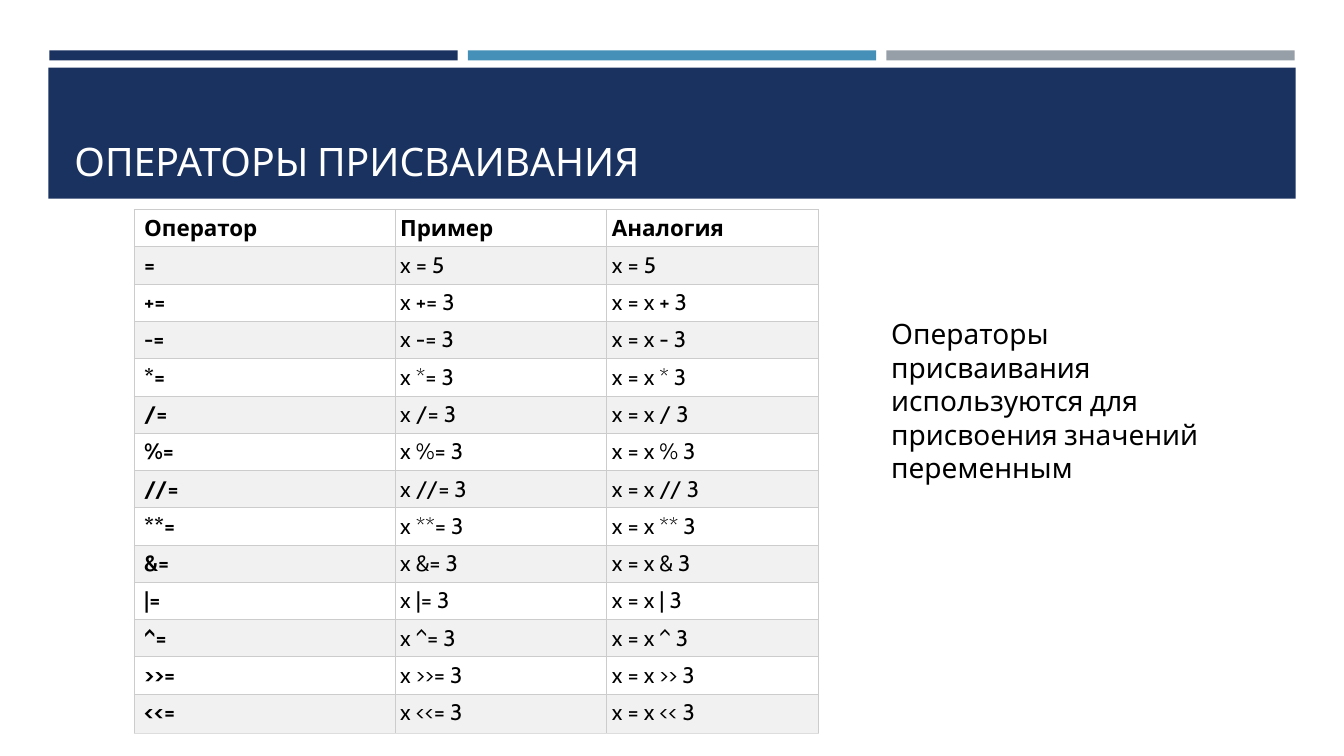
"""Builds a slide with a table of assignment operators."""
from lxml.etree import SubElement
from pptx import Presentation
from pptx.dml.color import RGBColor as RGB
from pptx.enum.shapes import MSO_SHAPE as SHAPE
from pptx.enum.text import MSO_ANCHOR as ANCHOR
from pptx.oxml.ns import qn
from pptx.util import Inches, Pt

COLORS = {"navy": "1A3260", "blue": "4590B8", "gray": "969FA7", "white": "FFFFFF",
          "black": "000000", "band": "F1F1F1", "border": "CCCCCC", "bottom": "DDDDDD"}
FONT = "Cabin"
OPERATORS = ["+", "-", "*", "/", "%", "//", "**", "&", "|", "^", ">>", "<<"]


def set_text(tf, text, size, color, bold=False):
    tf.word_wrap = True
    p = tf.paragraphs[0]
    p.text = text
    p.font.name, p.font.size, p.font.bold = FONT, Pt(size), bold
    p.font.color.rgb = RGB.from_string(COLORS[color])


def add_bar(left, top, width, height, color):
    sp = s.shapes.add_shape(SHAPE.RECTANGLE, Inches(left), Inches(top), Inches(width), Inches(height))
    sp.shadow.inherit = False
    sp.fill.solid()
    sp.fill.fore_color.rgb = RGB.from_string(COLORS[color])
    sp.line.fill.background()


prs = Presentation()
prs.slide_width, prs.slide_height = Inches(13.33), Inches(7.5)
s = prs.slides.add_slide(prs.slide_layouts[6])

for i, color in enumerate(["navy", "blue", "gray"]):
    add_bar(0.49 + i * 4.15, 0.5, 4.05, 0.1, color)
add_bar(0.48, 0.67, 12.37, 1.3, "navy")

title = s.shapes.add_textbox(Inches(0.64), Inches(0.77), Inches(12.06), Inches(1.11))
title.text_frame.vertical_anchor = ANCHOR.BOTTOM
set_text(title.text_frame, "ОПЕРАТОРЫ ПРИСВАИВАНИЯ", 28, "white")

rows = [("Оператор", "Пример", "Аналогия"), ("=", "x = 5", "x = 5")]
rows += [(f"{op}=", f"x {op}= 3", f"x = x {op} 3") for op in OPERATORS]
last = len(rows) - 1

table = s.shapes.add_table(len(rows), 3, Inches(1.33), Inches(2.08), Inches(6.79), Inches(5.2)).table
for column, width in zip(table.columns, [2.59, 2.1, 2.1]):
    column.width = Inches(width)
for i, row in enumerate(rows):
    table.rows[i].height = Inches(0.39 if i == last else 0.37)
    for j, text in enumerate(row):
        cell = table.cell(i, j)
        cell.margin_left = Inches(0.1 if j == 0 else 0.05)
        cell.margin_right = cell.margin_top = cell.margin_bottom = Inches(0.05)
        set_text(cell.text_frame, text, 16, "black", bold=i == 0 or j == 0)
        tc_pr = cell._tc.get_or_add_tcPr()
        for side in ["lnL", "lnR", "lnT", "lnB"]:
            ln = SubElement(tc_pr, qn(f"a:{side}"), w=str(Pt(0.75)))
            fill = SubElement(ln, qn("a:solidFill"))
            edge = "bottom" if i == last and side == "lnB" else "border"
            SubElement(fill, qn("a:srgbClr"), val=COLORS[edge])
        cell.fill.solid()
        cell.fill.fore_color.rgb = RGB.from_string(COLORS["band" if i % 2 else "white"])

note = s.shapes.add_textbox(Inches(8.74), Inches(3.09), Inches(3.75), Inches(1.78))
set_text(note.text_frame, "Операторы присваивания используются для присвоения значений переменным",
         20, "black")

prs.save("out.pptx")
